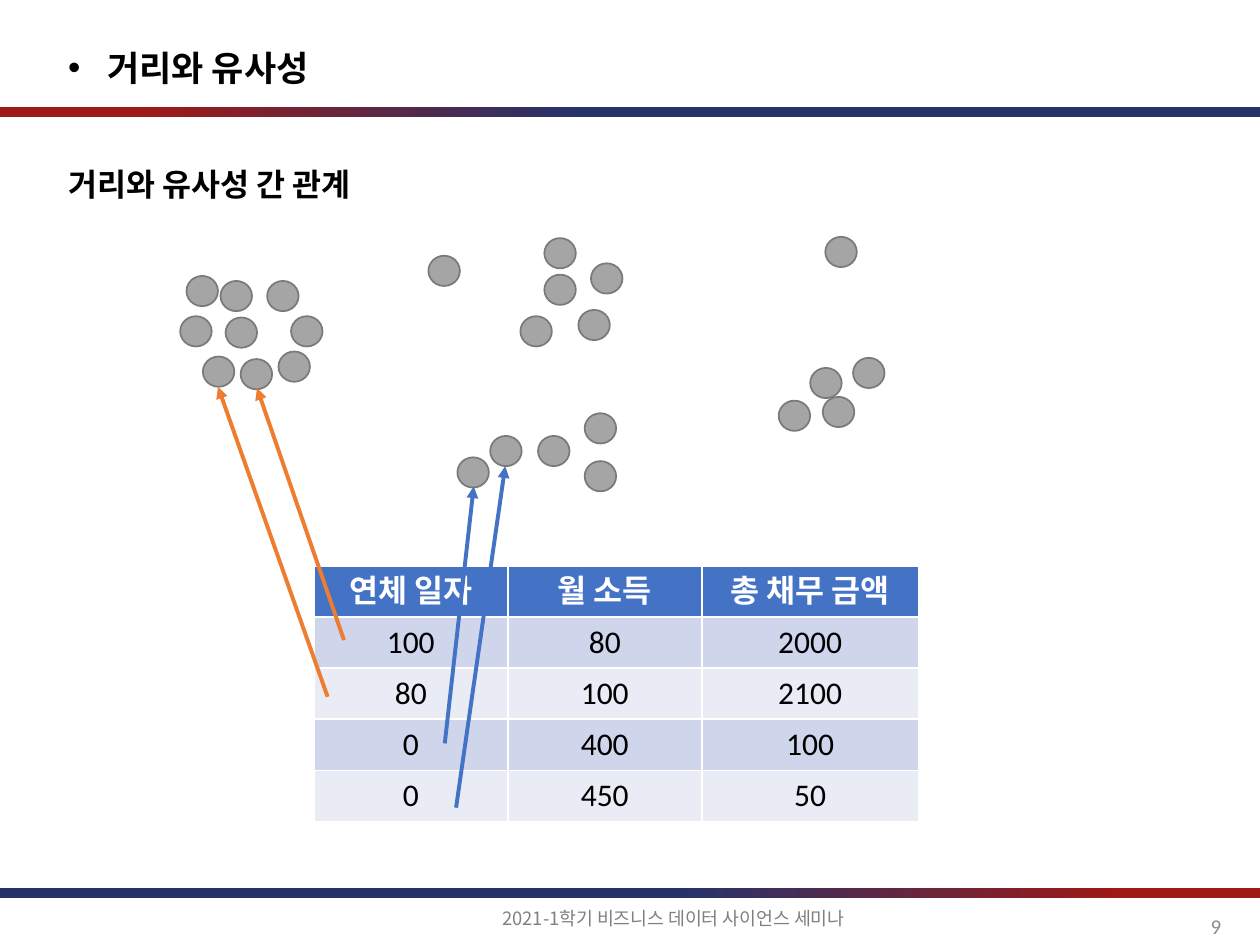
from dataclasses import dataclass

from lxml import etree
from pptx import Presentation
from pptx.dml.color import RGBColor
from pptx.enum import shapes, text
from pptx.oxml import ns
from pptx.util import Pt

PX = 9144


@dataclass(frozen=True)
class Theme:
    """Colours, fonts and type sizes of the deck."""

    latin: str = "Calibri"
    korean: str = "Noto Sans CJK KR"
    navy: str = "26336B"
    red: str = "9F1915"
    black: str = "000000"
    white: str = "FFFFFF"
    number: str = "8C8C8C"
    footer: str = "808080"
    dot: str = "A5A5A5"
    dot_line: str = "7A7A7A"
    orange: str = "ED7D31"
    blue: str = "4472C4"
    bands: tuple = ("CFD5EA", "E9EBF5")
    title_size: float = 20
    body_size: float = 18
    number_size: float = 12
    footer_size: float = 10.5


T = Theme()
ALIGN = text.PP_ALIGN
DOT_SIZE = (25, 24)
LEFT_GROUP = [(143, 251), (175, 223), (212, 223), (179, 252), (231, 251),
              (221, 279), (161, 283), (191, 285), (148, 219)]
TOP_GROUP = [(340, 203), (413, 251), (432, 189), (432, 218), (459, 246), (469, 209)]
LOW_GROUP = [(427, 346), (363, 363), (464, 366), (464, 328), (389, 346)]
RIGHT_GROUP = [(677, 284), (643, 292), (653, 315), (618, 318), (655, 188)]
ARROWS = [((273, 508), (204, 308), T.orange), ((260, 553), (173, 307), T.orange),
          ((353, 590), (376, 386), T.blue), ((362, 641), (401, 370), T.blue)]
HEADERS = ["연체 일자", "월 소득", "총 채무 금액"]
RECORDS = [(100, 80, 2000), (80, 100, 2100), (0, 400, 100), (0, 450, 50)]
COLUMNS = [154, 154, 172]


def emu(*lengths):
    """Turn px lengths into EMU."""
    return [n * PX for n in lengths]


def rgb(value):
    """Return the colour for a hex value."""
    return RGBColor.from_string(value)


def place(sp, box):
    """Move a shape to a px box."""
    sp.left, sp.top, sp.width, sp.height = emu(*box)


def write(tf, content, size=T.body_size, font=T.latin, color=T.black, bold=False,
          align=ALIGN.LEFT, after=0):
    """Write one formatted paragraph and return it."""
    p = tf.paragraphs[0]
    p.alignment = align
    p.space_before, p.space_after = Pt(0), Pt(after)
    r = p.add_run()
    r.text = content
    r.font.size, r.font.name, r.font.bold = Pt(size), font, bold
    r.font.color.rgb = rgb(color)
    ea = etree.SubElement(r.font._element, ns.qn("a:ea"))
    ea.set("typeface", font)
    return p


def set_bullet(p, char=None, indent=0):
    """Give a paragraph a bullet character, or none."""
    pPr = p._p.get_or_add_pPr()
    pPr.set("marL", str(indent * PX))
    pPr.set("indent", str(-indent * PX))
    if char:
        font = etree.SubElement(pPr, ns.qn("a:buFont"))
        font.set("typeface", "Arial")
        etree.SubElement(pPr, ns.qn("a:buChar")).set("char", char)
    else:
        etree.SubElement(pPr, ns.qn("a:buNone"))


def add_heading(sp, box, content, bullet=None, indent=0, **fmt):
    """Fill a placeholder with a bold heading."""
    place(sp, box)
    tf = sp.text_frame
    tf.word_wrap = True
    tf.vertical_anchor = text.MSO_ANCHOR.TOP
    tf.auto_size = text.MSO_AUTO_SIZE.SHAPE_TO_FIT_TEXT
    p = write(tf, content, bold=True, align=ALIGN.JUSTIFY, **fmt)
    set_bullet(p, bullet, indent)


def add_label(s, box, content, wrap=True, anchor=text.MSO_ANCHOR.TOP, **fmt):
    """Add a text box."""
    tf = s.shapes.add_textbox(*emu(*box)).text_frame
    tf.word_wrap = wrap
    tf.vertical_anchor = anchor
    write(tf, content, **fmt)


def add_bar(s, box, rotation=0):
    """Add a navy to red gradient bar."""
    sp = s.shapes.add_shape(shapes.MSO_SHAPE.RECTANGLE, *emu(*box))
    sp.shadow.inherit = False
    sp.rotation = rotation
    sp.line.fill.background()
    sp.fill.gradient()
    sp.fill.gradient_angle = 0
    stops = ((0.54, T.navy), (0.89, T.red))
    for stop, (position, color) in zip(sp.fill.gradient_stops, stops):
        stop.position = position
        stop.color.rgb = rgb(color)


def add_dots(s, box, points):
    """Scatter grey dots relative to a box."""
    left, top = box[:2]
    for x, y in points:
        sp = s.shapes.add_shape(shapes.MSO_SHAPE.OVAL, *emu(left + x, top + y, *DOT_SIZE))
        sp.shadow.inherit = False
        sp.fill.solid()
        sp.fill.fore_color.rgb = rgb(T.dot)
        sp.line.color.rgb = rgb(T.dot_line)
        sp.line.width = Pt(1)


def add_arrow(s, start, end, color):
    """Add a straight arrow."""
    cxn = s.shapes.add_connector(shapes.MSO_CONNECTOR.STRAIGHT, *emu(*start, *end))
    cxn.line.color.rgb = rgb(color)
    cxn.line.width = Pt(2.25)
    tail = etree.SubElement(cxn.line._get_or_add_ln(), ns.qn("a:tailEnd"))
    tail.set("type", "triangle")
    etree.SubElement(cxn._element.spPr, ns.qn("a:effectLst"))


def add_records(s, box):
    """Add the table of customer records."""
    rows = [HEADERS, *RECORDS]
    table = s.shapes.add_table(len(rows), len(COLUMNS), *emu(*box)).table
    for column, width in zip(table.columns, COLUMNS):
        column.width = width * PX
    for i, row in enumerate(rows):
        header = i == 0
        for j, value in enumerate(row):
            cell = table.cell(i, j)
            cell.fill.solid()
            cell.fill.fore_color.rgb = rgb(T.blue if header else T.bands[(i - 1) % 2])
            write(cell.text_frame, str(value), bold=header, align=ALIGN.CENTER,
                  color=T.white if header else T.black)


def add_frame(s, box):
    """Add the bars, footer and page number."""
    left, top, width, height = box
    add_bar(s, (left, top + 705, width, 8))
    add_bar(s, (left, top + 85, width, 8), rotation=180)
    add_label(s, (left + 389, top + 715, 330, 28), "2021-1학기 비즈니스 데이터 사이언스 세미나",
              wrap=False, size=T.footer_size, font=T.korean, color=T.footer)
    add_label(s, (left + 754, top + 715, 225, 40), "9", anchor=text.MSO_ANCHOR.MIDDLE,
              size=T.number_size, color=T.number, align=ALIGN.RIGHT)


def build_slide(prs, box):
    """Build the distance and similarity slide."""
    s = prs.slides.add_slide(prs.slide_layouts[1])
    add_heading(s.shapes.title, (44, 32, 859, 44), "거리와 유사성",
                bullet="•", indent=31, size=T.title_size)
    add_heading(s.placeholders[1], (44, 126, 899, 40), "거리와 유사성 간 관계",
                font=T.korean, after=6)
    add_frame(s, box)
    for group in (LEFT_GROUP, TOP_GROUP, LOW_GROUP, RIGHT_GROUP):
        add_dots(s, box, group)
    add_records(s, (249, 449, sum(COLUMNS), 203))
    for start, end, color in ARROWS:
        add_arrow(s, start, end, color)


def main():
    """Create and save the presentation."""
    prs = Presentation()
    prs.slide_width, prs.slide_height = emu(1000, 750)
    build_slide(prs, (0, 0, 1000, 750))
    prs.save("out.pptx")


if __name__ == "__main__":
    main()
